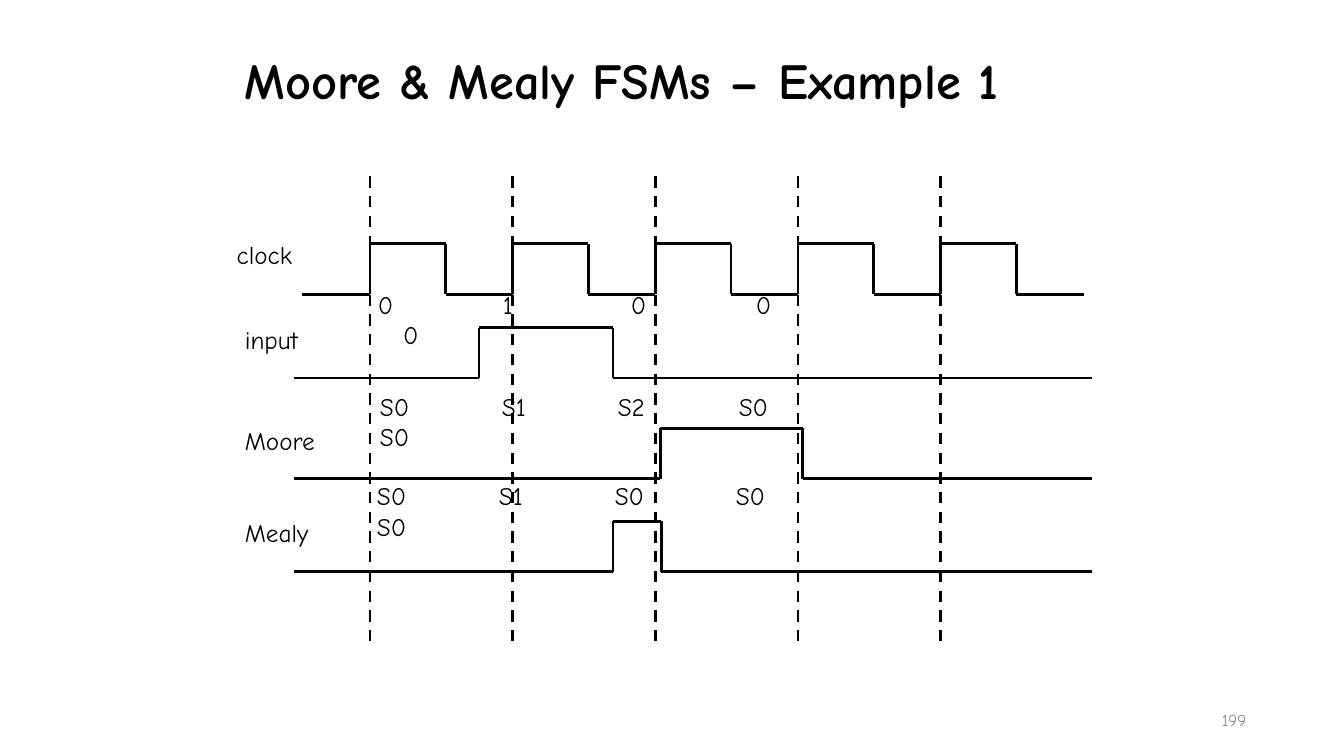
from lxml import etree
from pptx import Presentation
from pptx.dml.color import RGBColor
from pptx.enum.dml import MSO_LINE
from pptx.enum.text import MSO_ANCHOR, PP_ALIGN
from pptx.oxml.ns import qn
from pptx.util import Inches, Pt

DASH = MSO_LINE.DASH
MIDDLE = MSO_ANCHOR.MIDDLE
LEFT, RIGHT = PP_ALIGN.LEFT, PP_ALIGN.RIGHT


def color(hex_code):
    return RGBColor.from_string(hex_code)


class TimingSlide:
    font = "Comic Neue"
    ink = "000000"
    muted = "8C8C8C"
    pulse_height = 0.5

    def __init__(self, slide):
        self.slide = slide

    def add_run(self, paragraph, text, size=18, ink=None, bold=False):
        run = paragraph.add_run()
        run.text = text
        run.font.name = self.font
        run.font.size = Pt(size)
        run.font.bold = bold
        run.font.color.rgb = color(ink or self.ink)

    def title(self, text, left, top, width, height):
        heading = self.slide.shapes.title
        heading.left, heading.top = Inches(left), Inches(top)
        heading.width, heading.height = Inches(width), Inches(height)
        heading.text_frame.vertical_anchor = MIDDLE
        paragraph = heading.text_frame.paragraphs[0]
        paragraph.alignment = LEFT
        paragraph.line_spacing = 0.9
        self.add_run(paragraph, text, 36, bold=True)

    def box(self, left, top, width, height=0.4, wrap=False):
        shape = self.slide.shapes.add_textbox(
            Inches(left), Inches(top), Inches(width), Inches(height))
        shape.text_frame.word_wrap = wrap
        return shape.text_frame

    def label(self, text, left, top):
        self.add_run(self.box(left, top, 0.9).paragraphs[0], text)

    def page_number(self, text, left, top, width):
        frame = self.box(left, top, width, wrap=True)
        frame.vertical_anchor = MIDDLE
        frame.paragraphs[0].alignment = RIGHT
        self.add_run(frame.paragraphs[0], text, 12, self.muted)

    def values(self, first_line, last, left, top, stops, last_indent=0):
        """Values on tab stops, with the last one on a second line."""
        frame = self.box(left, top, 5, 0.7, wrap=True)
        row = frame.paragraphs[0]
        tabs = etree.SubElement(row._p.get_or_add_pPr(), qn("a:tabLst"))
        for stop in stops:
            etree.SubElement(tabs, qn("a:tab"), pos=str(Inches(stop)), algn="l")
        self.add_run(row, "\t".join(first_line))
        second = frame.add_paragraph()
        second._p.get_or_add_pPr().set("marL", str(Inches(last_indent)))
        self.add_run(second, last)

    def line(self, start, end, dash=None):
        connector = self.slide.shapes.add_connector(
            1, *(Inches(value) for value in (*start, *end)))
        connector.line.color.rgb = color(self.ink)
        connector.line.width = Pt(2)
        if dash:
            connector.line.dash_style = dash
        etree.SubElement(connector._element.spPr, qn("a:effectLst"))

    def wave(self, low, edges, start=2.92, end=10.83):
        """Signal that starts low and toggles at each edge."""
        high = low - self.pulse_height
        x, level = start, low
        for edge in edges:
            toggled = high if level == low else low
            self.line((x, level), (edge, level))
            self.line((edge, level), (edge, toggled))
            x, level = edge, toggled
        self.line((x, level), (end, level))


def main():
    deck = Presentation()
    deck.slide_width, deck.slide_height = Inches(13.33), Inches(7.5)
    timing = TimingSlide(deck.slides.add_slide(deck.slide_layouts[5]))
    timing.title("Moore & Mealy FSMs – Example 1", 2.33, 0.1, 10.9, 1.45)

    # Rising clock edges
    rising = [3.67 + 1.415 * cycle for cycle in range(5)]
    for edge in rising:
        timing.line((edge, 1.75), (edge, 6.42), DASH)

    # Signals
    clock_edges = [x for edge in rising for x in (edge, edge + 0.75)]
    timing.wave(2.92, clock_edges, 3, 10.75)
    timing.wave(3.75, [4.75, 6.08])
    timing.wave(4.75, [6.55, 7.96])
    timing.wave(5.67, [6.08, 6.56])

    # Signal names
    for name, left, top in (("clock", 2.25, 2.33), ("input", 2.33, 3.17),
                            ("Moore", 2.33, 4.17), ("Mealy", 2.33, 5.08)):
        timing.label(name, left, top)

    # Input values and states per cycle
    state_stops = [1.21, 2.36, 3.56]
    timing.values(["0", "1", "0", "0"], "0", 3.65, 2.82, [1.24, 2.51, 3.75], 0.25)
    timing.values(["S0", "S1", "S2", "S0"], "S0", 3.67, 3.83, state_stops)
    timing.values(["S0", "S1", "S0", "S0"], "S0", 3.64, 4.72, state_stops)

    timing.page_number("199", 9.46, 6.94, 3)
    deck.save("out.pptx")


if __name__ == "__main__":
    main()
